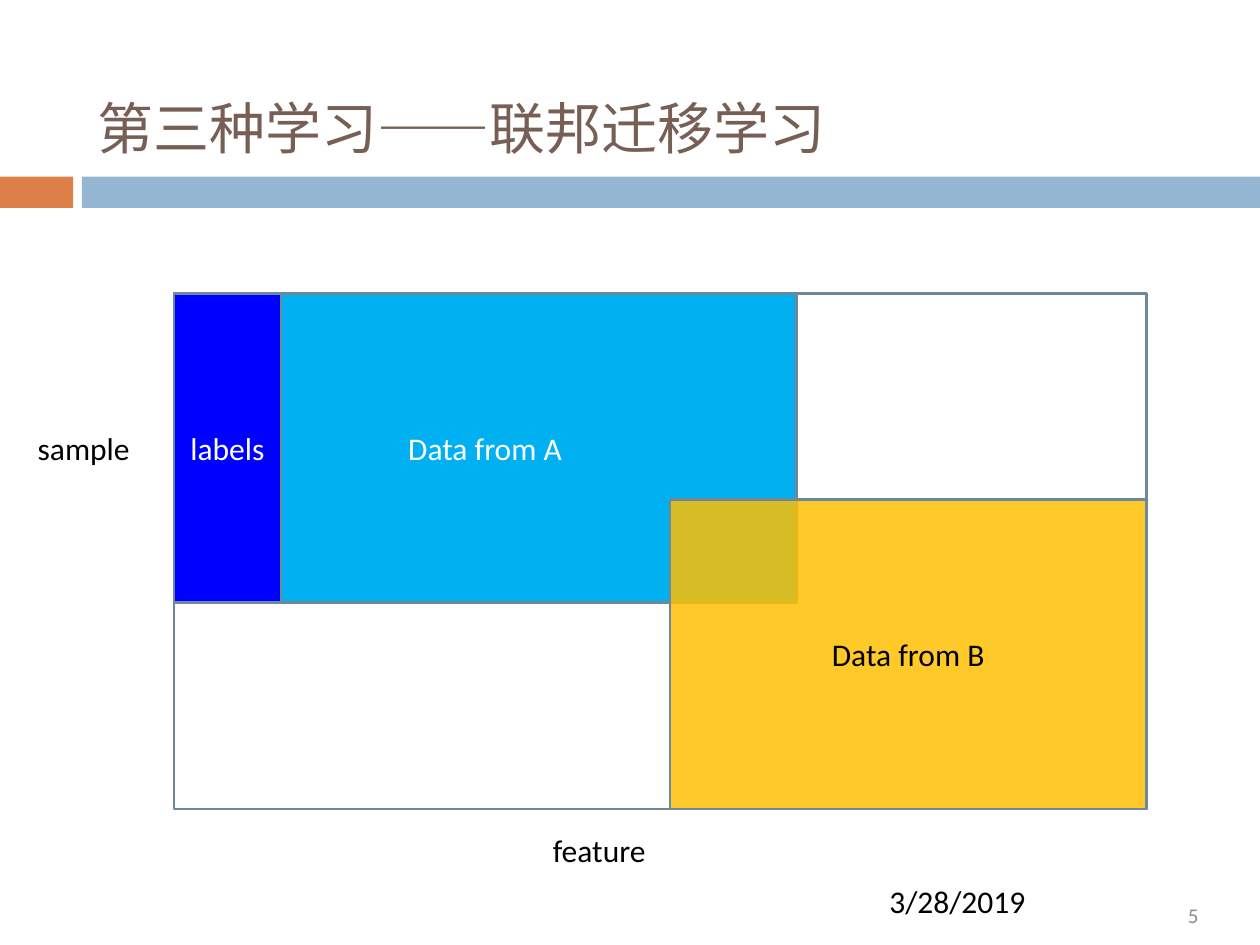
from lxml import etree
from pptx import Presentation
from pptx import util as u
from pptx.dml.color import RGBColor
from pptx.enum import shapes, text
from pptx.oxml.ns import qn

HUES = {"orange": "DD8047", "band": "94B6D2", "title": "775F55", "line": "6D879B",
        "sky": "00B0F0", "gold": "FFC000", "blue": "0000FF", "white": "FFFFFF",
        "black": "000000", "grey": "8C8C8C"}
FONT = "Calibri"


def hue(name):
    """Return the named colour."""
    return RGBColor.from_string(HUES[name])


def inch(box):
    """Turn a box in inches into lengths."""
    return [u.Inches(side) for side in box]


def part(box, x, y, w, h):
    """Return the part of a box given by shares of its size."""
    left, top, wide, high = box
    return left + x * wide, top + y * high, w * wide, h * high


def write(shape, words, size=18, color="black", align="LEFT", anchor="TOP"):
    """Set the text of a shape and its format."""
    frame = shape.text_frame
    frame.word_wrap = True
    frame.vertical_anchor = getattr(text.MSO_ANCHOR, anchor)
    para = frame.paragraphs[0]
    para.alignment = getattr(text.PP_ALIGN, align)
    run = para.add_run()
    run.text = words
    run.font.size = u.Pt(size)
    run.font.name = FONT
    run.font.color.rgb = hue(color)


def label(slide, box, words, **style):
    """Add a text box."""
    write(slide.shapes.add_textbox(*inch(box)), words, **style)


def block(slide, box, fill=None, line=None, alpha=None):
    """Add a rectangle with an optional fill, outline and opacity."""
    shape = slide.shapes.add_shape(shapes.MSO_SHAPE.RECTANGLE, *inch(box))
    shape.shadow.inherit = False
    if fill:
        shape.fill.solid()
        shape.fill.fore_color.rgb = hue(fill)
    else:
        shape.fill.background()
    if line:
        shape.line.color.rgb = hue(line)
        shape.line.width = u.Pt(1.5)
    else:
        shape.line.fill.background()
    if alpha:
        tint = shape.fill._xPr.find(".//" + qn("a:srgbClr"))
        etree.SubElement(tint, qn("a:alpha")).set("val", str(alpha * 1000))
    return shape


def header(slide, box, words):
    """Place the title above the two-part band."""
    block(slide, part(box, 0, 0.85, 0.058, 0.15), "orange")
    block(slide, part(box, 0.065, 0.85, 0.935, 0.15), "band")
    title = slide.shapes.title
    title.left, title.top, title.width, title.height = inch(
        part(box, 0.067, 0.15, 0.892, 0.655))
    write(title, words, size=32, color="title", anchor="BOTTOM")


def diagram(slide, box):
    """Draw the overlapping data sets in the sample and feature space."""
    block(slide, box, line="line")
    sets = [("Data from A", (0, 0, 0.64, 0.6), "sky", "white", None),
            ("Data from B", (0.51, 0.4, 0.49, 0.6), "gold", "black", 84),
            ("labels", (0, 0, 0.11, 0.6), "blue", "white", None)]
    for words, area, fill, color, alpha in sets:
        shape = block(slide, part(box, *area), fill, "line", alpha)
        write(shape, words, color=color, align="CENTER", anchor="MIDDLE")
    left, top, wide, high = box
    label(slide, (left - 1.18, top + 1.03, 1.02, 0.4), "sample")
    label(slide, (left + 2.91, top + high + 0.13, 1.02, 0.4), "feature")


def footer(slide, box):
    """Place the date and the slide number."""
    label(slide, part(box, 0, 0, 0.86, 0.8), "3/28/2019")
    label(slide, part(box, 0.12, 0.22, 0.88, 0.8), "5", size=12, color="grey",
          align="RIGHT", anchor="MIDDLE")


def main():
    """Build and save the slide."""
    deck = Presentation()
    deck.slide_width, deck.slide_height = inch((10, 7.5))
    slide = deck.slides.add_slide(deck.slide_layouts[5])
    header(slide, (0, 0, 10, 1.65), "第三种学习——联邦迁移学习")
    footer(slide, (6.96, 6.95, 2.65, 0.5))
    diagram(slide, (1.38, 2.33, 7.72, 4.09))
    deck.save("out.pptx")


if __name__ == "__main__":
    main()
